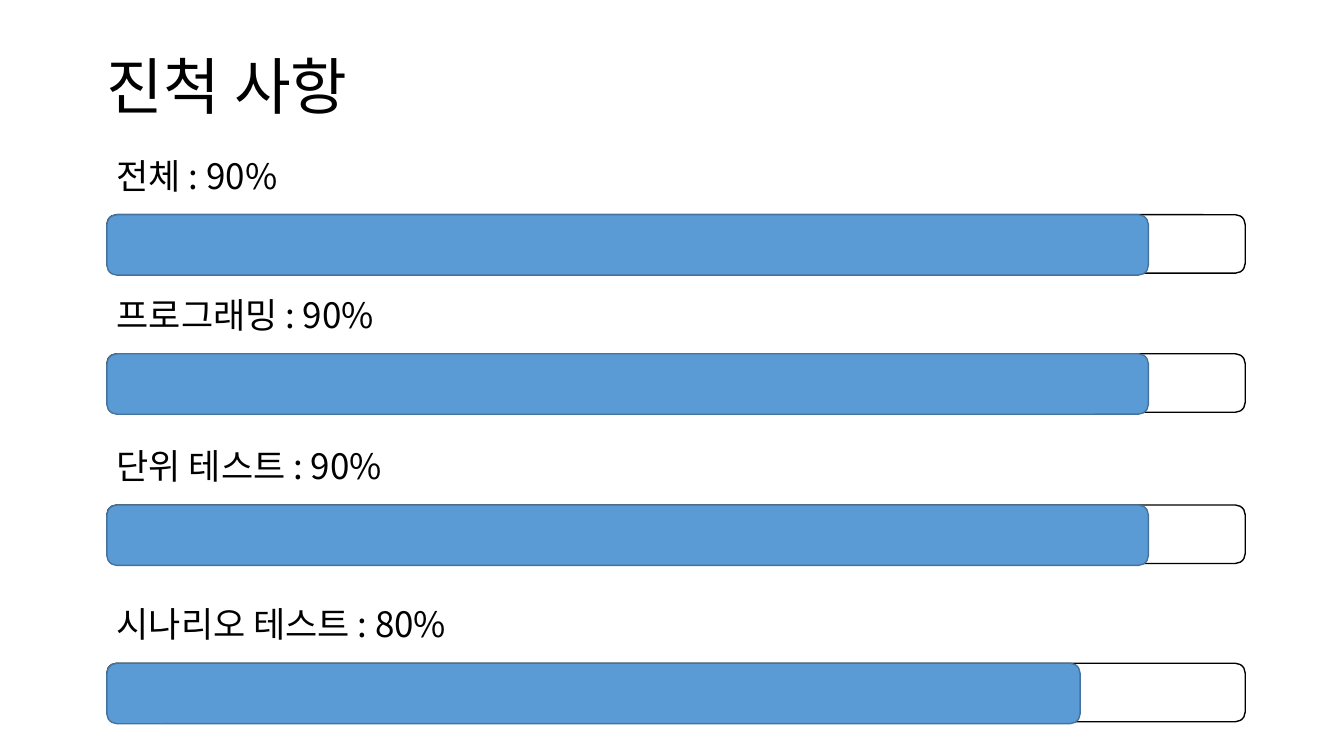
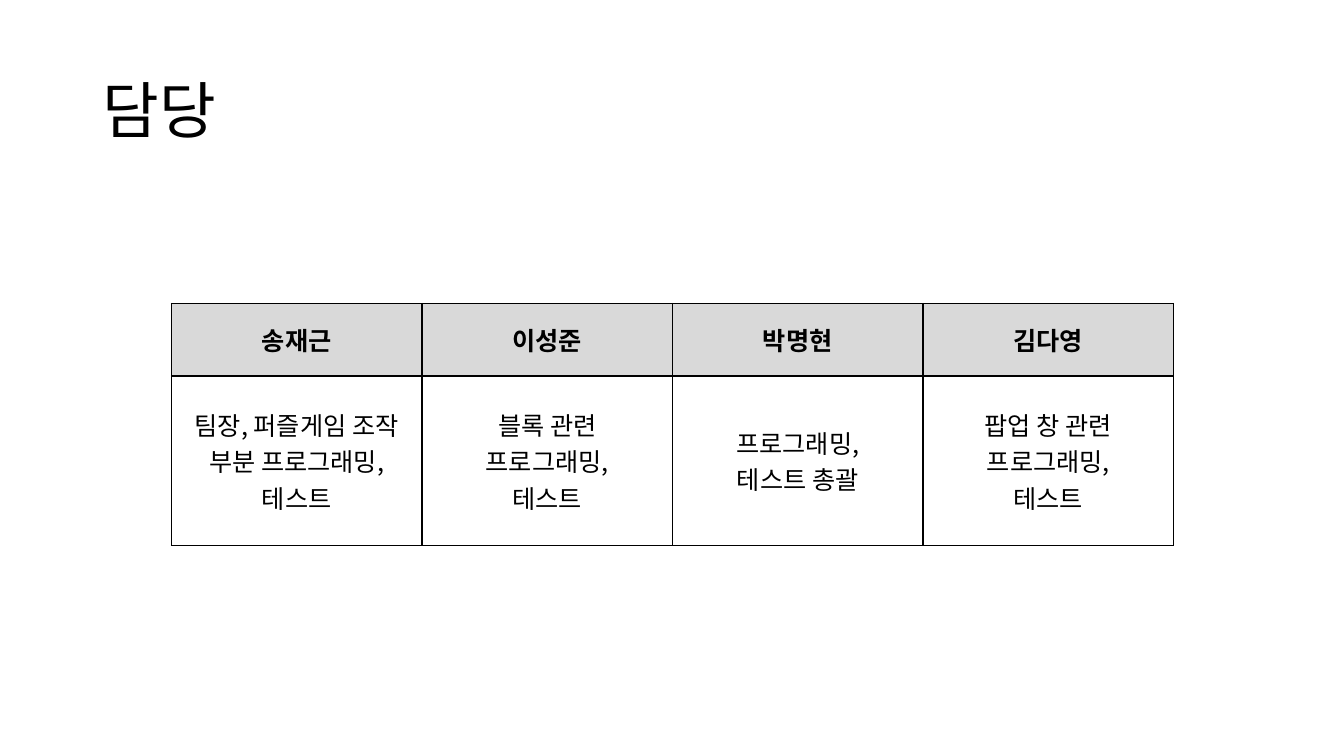
from dataclasses import dataclass

import pptx
import pptx.dml.color
import pptx.enum.shapes
import pptx.enum.text
import pptx.oxml.ns
import pptx.util
from lxml import etree


@dataclass(frozen=True)
class Theme:
    """Colours, type sizes and line width shared by the slides."""
    font: str = "Noto Sans CJK KR"
    ink: str = "000000"
    paper: str = "FFFFFF"
    bar: str = "5B9BD5"
    bar_edge: str = "43739E"
    header: str = "D9D9D9"
    title_size: int = 44
    label_size: int = 25
    cell_size: int = 18
    line_width: int = 1


THEME = Theme()
SLIDE_WIDTH = pptx.util.Inches(13.33)
SLIDE_HEIGHT = pptx.util.Inches(7.5)
BAR_LEFT = 7.95
BAR_WIDTH = 84.7
LABEL_RISE = 8.67

# Label, top of the bar in percent of the height, filled percent of the track
PROGRESS = [
    ("전체 : 90%", 28.4, 91.5),
    ("프로그래밍 : 90%", 46.8, 91.5),
    ("단위 테스트 : 90%", 66.8, 91.5),
    ("시나리오 테스트 : 80%", 87.73, 85.5),
]
DUTIES = [
    ("송재근", "팀장, 퍼즐게임 조작 부분 프로그래밍, 테스트"),
    ("이성준", "블록 관련\n프로그래밍,\n테스트"),
    ("박명현", "프로그래밍,\n테스트 총괄"),
    ("김다영", "팝업 창 관련\n프로그래밍,\n테스트"),
]


def across(percent):
    """Return a percentage of the slide width as a length."""
    return round(SLIDE_WIDTH * percent / 100)


def down(percent):
    """Return a percentage of the slide height as a length."""
    return round(SLIDE_HEIGHT * percent / 100)


def color(value):
    """Return a colour object for a hexadecimal value."""
    return pptx.dml.color.RGBColor.from_string(value)


def write(frame, text, size, align="LEFT", bold=False, spacing=None):
    """Write text into a frame, one paragraph per line, in the theme font."""
    frame.text = text
    frame.vertical_anchor = pptx.enum.text.MSO_ANCHOR.MIDDLE
    for paragraph in frame.paragraphs:
        paragraph.alignment = pptx.enum.text.PP_ALIGN[align]
        paragraph.line_spacing = spacing
        font = paragraph.font
        font.name = THEME.font
        font.size = pptx.util.Pt(size)
        font.bold = bold
        font.color.rgb = color(THEME.ink)
        for run in paragraph.runs:
            properties = run._r.get_or_add_rPr()
            etree.SubElement(properties, pptx.oxml.ns.qn("a:ea"), typeface=THEME.font)


def add_titled_slide(presentation, title, left, top):
    """Add a title-only slide and place its title."""
    slide = presentation.slides.add_slide(presentation.slide_layouts[5])
    shape = slide.shapes.title
    shape.left, shape.top = across(left), down(top)
    shape.width, shape.height = across(86.27), down(19.33)
    write(shape.text_frame, title, THEME.title_size, spacing=0.9)
    shape.text_frame.auto_size = pptx.enum.text.MSO_AUTO_SIZE.NONE
    return slide


def add_bar(slide, top, width, height, fill, edge):
    """Add one rounded bar at the common left edge."""
    bar = slide.shapes.add_shape(
        pptx.enum.shapes.MSO_SHAPE.ROUNDED_RECTANGLE,
        across(BAR_LEFT), down(top), across(width), down(height))
    bar.shadow.inherit = False
    bar.fill.solid()
    bar.fill.fore_color.rgb = color(fill)
    bar.line.color.rgb = color(edge)
    bar.line.width = pptx.util.Pt(THEME.line_width)


def add_progress(slide, label, top, filled):
    """Add a label above a track that is filled to the given percentage."""
    add_bar(slide, top, BAR_WIDTH, 7.73, THEME.paper, THEME.ink)
    add_bar(slide, top, BAR_WIDTH * filled / 100, 8, THEME.bar, THEME.bar_edge)
    box = slide.shapes.add_textbox(
        across(BAR_LEFT), down(top - LABEL_RISE), across(30), down(6.93))
    box.text_frame.word_wrap = True
    write(box.text_frame, label, THEME.label_size)


def set_borders(cell):
    """Draw a thin line on the four sides of a cell."""
    properties = cell._tc.get_or_add_tcPr()
    for index, side in enumerate(("lnL", "lnR", "lnT", "lnB")):
        line = etree.Element(pptx.oxml.ns.qn(f"a:{side}"),
                             w=str(pptx.util.Pt(THEME.line_width)))
        fill = etree.SubElement(line, pptx.oxml.ns.qn("a:solidFill"))
        etree.SubElement(fill, pptx.oxml.ns.qn("a:srgbClr"), val=THEME.ink)
        properties.insert(index, line)


def fill_cell(cell, text, fill, bold):
    """Write and format one table cell."""
    write(cell.text_frame, text, THEME.cell_size, "CENTER", bold)
    cell.vertical_anchor = pptx.enum.text.MSO_ANCHOR.MIDDLE
    cell.fill.solid()
    cell.fill.fore_color.rgb = color(fill)
    set_borders(cell)


def add_duty_table(slide, duties):
    """Add a table with one column per person: name above duty."""
    heights = (down(9.6), down(22.4))
    table = slide.shapes.add_table(
        2, len(duties), across(12.75), down(40.13), across(74.57), sum(heights)).table
    for row, height in zip(table.rows, heights):
        row.height = height
    for column, (name, duty) in enumerate(duties):
        fill_cell(table.cell(0, column), name, THEME.header, True)
        fill_cell(table.cell(1, column), duty, THEME.paper, False)


def main():
    """Build and save the presentation."""
    presentation = pptx.Presentation()
    presentation.slide_width = SLIDE_WIDTH
    presentation.slide_height = SLIDE_HEIGHT

    progress_slide = add_titled_slide(presentation, "진척 사항", 7.2, 2.13)
    for label, top, filled in PROGRESS:
        add_progress(progress_slide, label, top, filled)

    duty_slide = add_titled_slide(presentation, "담당", 6.9, 5.33)
    add_duty_table(duty_slide, DUTIES)

    presentation.save("out.pptx")


main()
